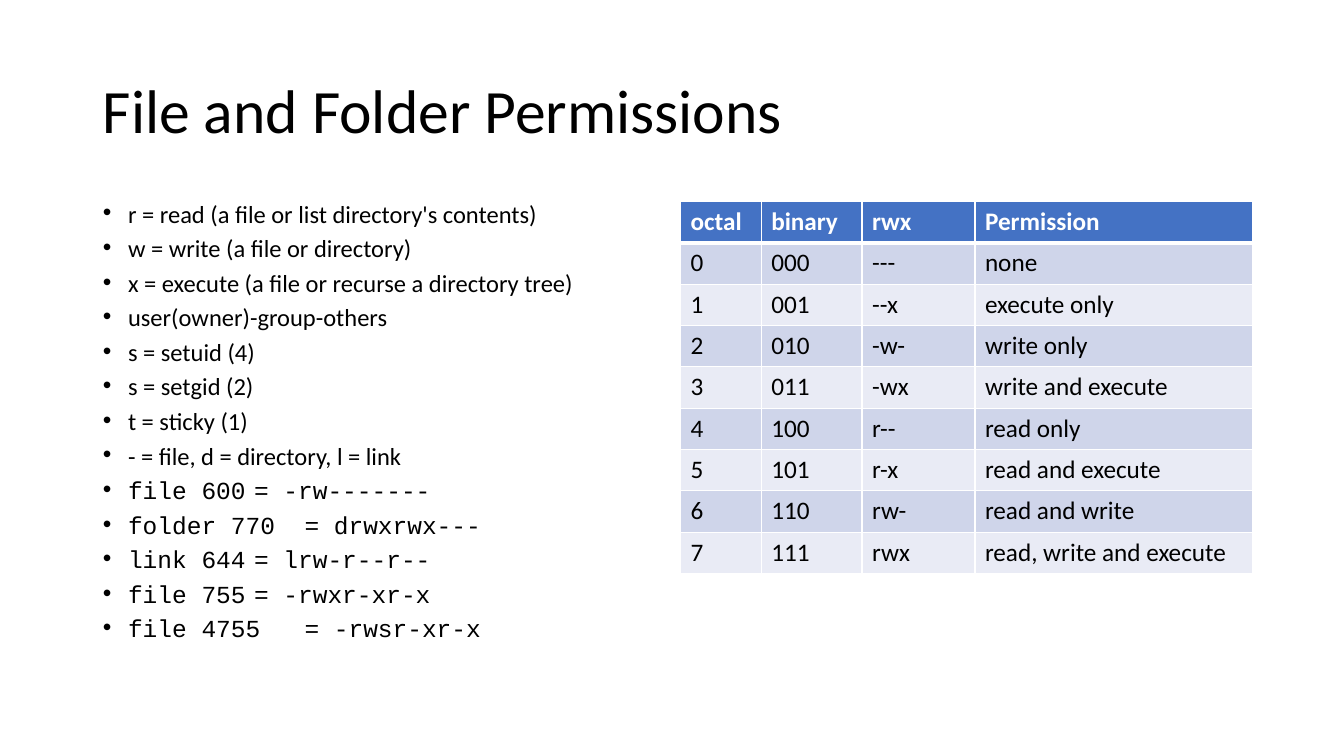
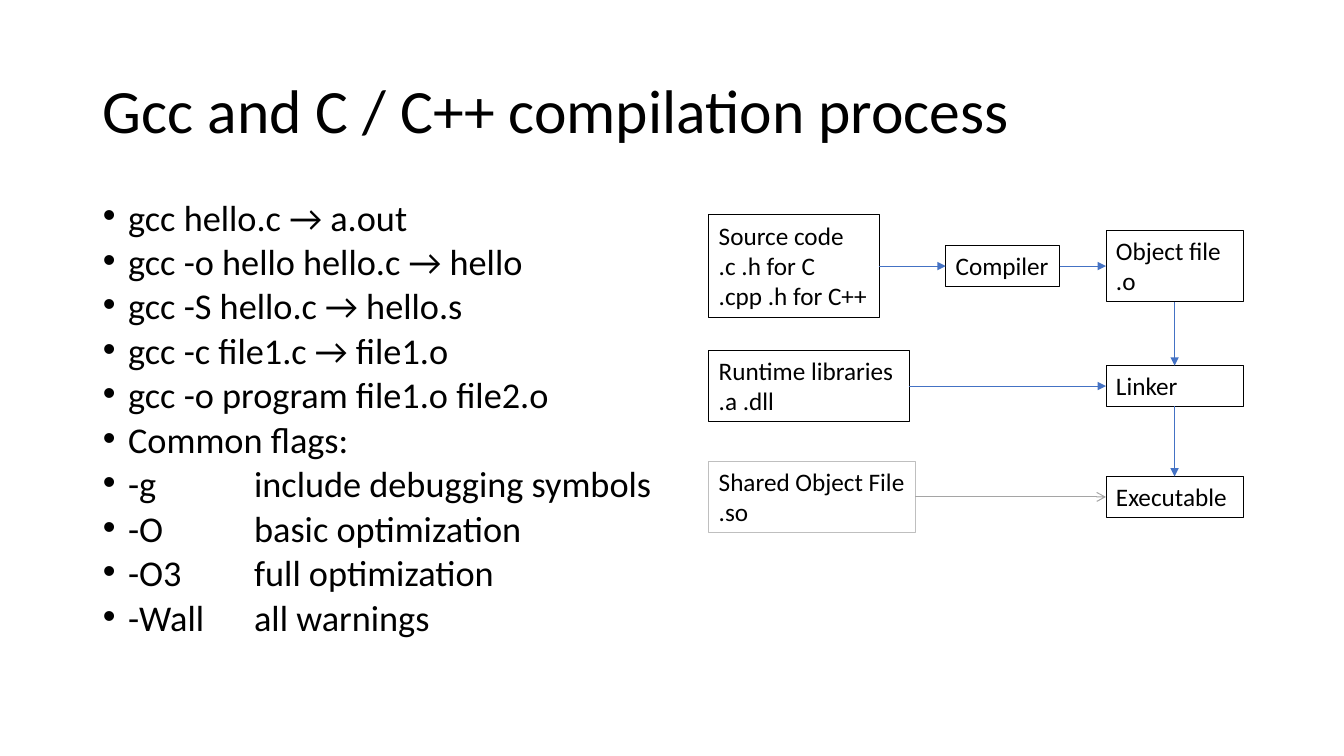
from dataclasses import dataclass

from lxml import etree
from pptx import Presentation
from pptx import util as u
from pptx.dml.color import RGBColor
from pptx.enum import shapes, text
from pptx.oxml import ns

# Shared look
SLIDE_WIDTH, SLIDE_HEIGHT = 13.33, 7.5
MARGIN, CONTENT_TOP, COLUMN_WIDTH = 0.92, 2, 5.67
FONT, CODE_FONT = "Calibri", "Courier New"
BLACK, WHITE, BLUE = "000000", "FFFFFF", "4472C4"
BAND_DARK, BAND_LIGHT = "CFD5EA", "E9EBF5"
BOX_GRAY, ARROW_GRAY = "BFBFBF", "A5A5A5"
LABEL_SIZE = 18
LINE_HEIGHT, INSET = LABEL_SIZE * 1.22 / 72, 0.05
TOP, LEFT, BOTTOM, RIGHT = range(4)

# Slide 1 content
PERMISSION_NOTES = [
    "r = read (a file or list directory's contents)",
    "w = write (a file or directory)",
    "x = execute (a file or recurse a directory tree)",
    "user(owner)-group-others",
    "s = setuid (4)",
    "s = setgid (2)",
    "t = sticky (1)",
    "- = file, d = directory, l = link",
]
PERMISSION_EXAMPLES = [
    "file 600\t= -rw-------",
    "folder 770\t= drwxrwx---",
    "link 644\t= lrw-r--r--",
    "file 755\t= -rwxr-xr-x",
    "file 4755\t= -rwsr-xr-x",
]
PERMISSION_TABLE = [
    ("octal", "binary", "rwx", "Permission"),
    ("0", "000", "---", "none"),
    ("1", "001", "--x", "execute only"),
    ("2", "010", "-w-", "write only"),
    ("3", "011", "-wx", "write and execute"),
    ("4", "100", "r--", "read only"),
    ("5", "101", "r-x", "read and execute"),
    ("6", "110", "rw-", "read and write"),
    ("7", "111", "rwx", "read, write and execute"),
]
TABLE_COLUMNS = (0.8, 1, 1.12, 2.75)
TABLE_LEFT, TABLE_ROW = 6.75, 0.41

# Slide 2 content
GCC_NOTES = [
    "gcc hello.c → a.out",
    "gcc -o hello hello.c → hello",
    "gcc -S hello.c → hello.s",
    "gcc -c file1.c → file1.o",
    "gcc -o program file1.o file2.o",
    "Common flags:",
    "-g \t\tinclude debugging symbols",
    "-O \t\tbasic optimization",
    "-O3 \t\tfull optimization",
    "-Wall\tall warnings",
]
FLOW_COLUMNS = (7.03, 9.38, 10.97)  # left edges
FLOW_ROWS = (2.64, 3.83, 4.93)  # middles


@dataclass
class Box:
    label: str
    column: int
    row: int
    width: float
    lines: int = 1
    color: str = BLACK
    wrap: bool = True


@dataclass
class Arrow:
    start: str
    start_side: int
    end: str
    end_side: int
    color: str = BLUE
    width: float = 0.5
    head: str = "triangle"


BOXES = {
    "source": Box("Source code\n.c .h for C\n.cpp .h for C++", 0, 0, 1.69, 3, wrap=False),
    "compiler": Box("Compiler", 1, 0, 1.13, wrap=False),
    "object": Box("Object file\n.o", 2, 0, 1.36, 2),
    "runtime": Box("Runtime libraries\n.a .dll", 0, 1, 1.99, 2),
    "linker": Box("Linker", 2, 1, 1.36),
    "shared": Box("Shared Object File .so", 0, 2, 2.05, 2, BOX_GRAY),
    "executable": Box("Executable", 2, 2, 1.36),
}
ARROWS = [
    Arrow("source", RIGHT, "compiler", LEFT),
    Arrow("compiler", RIGHT, "object", LEFT),
    Arrow("object", BOTTOM, "linker", TOP),
    Arrow("runtime", RIGHT, "linker", LEFT),
    Arrow("linker", BOTTOM, "executable", TOP),
    Arrow("shared", RIGHT, "executable", LEFT, ARROW_GRAY, 0.75, "arrow"),
]


def rgb(color: str) -> RGBColor:
    return RGBColor.from_string(color)


def add_xml(parent, tag: str, **attributes: str):
    return etree.SubElement(parent, ns.qn(tag), attributes)


def place(shape, left: float, top: float, width: float, height: float) -> None:
    shape.left, shape.top = u.Inches(left), u.Inches(top)
    shape.width, shape.height = u.Inches(width), u.Inches(height)


def format_runs(paragraph, size: float, color: str = BLACK, font: str = FONT,
                bold: bool = False) -> None:
    paragraph.alignment = text.PP_ALIGN.LEFT
    for run in paragraph.runs:
        run.font.name, run.font.size, run.font.bold = font, u.Pt(size), bold
        run.font.color.rgb = rgb(color)


# Title and list, the same on both slides
def add_slide(presentation, title: str, notes: list[str], size: float,
              code_lines: tuple[str, ...] = ()):
    slide = presentation.slides.add_slide(presentation.slide_layouts[1])
    heading, body = slide.placeholders
    place(heading, MARGIN, 0.4, 11.5, 1.45)
    heading.text_frame.text = title
    heading.text_frame.vertical_anchor = text.MSO_ANCHOR.MIDDLE
    heading.text_frame.auto_size = text.MSO_AUTO_SIZE.NONE
    heading.text_frame.paragraphs[0].line_spacing = 0.9
    format_runs(heading.text_frame.paragraphs[0], 44)

    place(body, MARGIN, CONTENT_TOP, COLUMN_WIDTH, 4.76)
    body.text_frame.text = "\n".join([*notes, *code_lines])
    body.text_frame.auto_size = text.MSO_AUTO_SIZE.NONE
    for index, paragraph in enumerate(body.text_frame.paragraphs):
        properties = paragraph._p.get_or_add_pPr()
        properties.set("marL", str(u.Inches(0.25)))
        properties.set("indent", str(-u.Inches(0.25)))
        add_xml(properties, "a:buFont", typeface="Arial")
        add_xml(properties, "a:buChar", char="•")
        paragraph.line_spacing = 0.7
        paragraph.space_before = u.Pt(10 if index else 0)
        format_runs(paragraph, size, font=FONT if index < len(notes) else CODE_FONT)
    return slide


# Permission table
def set_borders(cell, top: float, bottom: float) -> None:
    properties = cell._tc.get_or_add_tcPr()
    for side, width in (("L", 1), ("R", 1), ("T", top), ("B", bottom)):
        line = add_xml(properties, f"a:ln{side}", w=str(u.Pt(width)))
        add_xml(add_xml(line, "a:solidFill"), "a:srgbClr", val=WHITE)


def add_permission_table(slide) -> None:
    row_count = len(PERMISSION_TABLE)
    table = slide.shapes.add_table(
        row_count, len(TABLE_COLUMNS), u.Inches(TABLE_LEFT), u.Inches(CONTENT_TOP),
        u.Inches(sum(TABLE_COLUMNS)), u.Inches(TABLE_ROW * row_count)).table
    table.horz_banding = False
    for column, width in zip(table.columns, TABLE_COLUMNS):
        column.width = u.Inches(width)
    for row, values in enumerate(PERMISSION_TABLE):
        is_header = row == 0
        fill = BLUE if is_header else BAND_DARK if row % 2 else BAND_LIGHT
        for column, value in enumerate(values):
            cell = table.cell(row, column)
            cell.text_frame.text = value
            format_runs(cell.text_frame.paragraphs[0], LABEL_SIZE,
                        WHITE if is_header else BLACK, bold=is_header)
            set_borders(cell, top=3 if row == 1 else 1, bottom=3 if is_header else 1)
            cell.fill.solid()
            cell.fill.fore_color.rgb = rgb(fill)


# Compilation flow
def add_box(slide, box: Box):
    height = 2 * INSET + box.lines * LINE_HEIGHT
    shape = slide.shapes.add_shape(
        shapes.MSO_SHAPE.RECTANGLE, u.Inches(FLOW_COLUMNS[box.column]),
        u.Inches(FLOW_ROWS[box.row] - height / 2), u.Inches(box.width), u.Inches(height))
    shape.shadow.inherit = False
    shape.fill.background()
    shape.line.color.rgb = rgb(box.color)
    shape.line.width = u.Pt(0.75)
    frame = shape.text_frame
    frame.text = box.label
    frame.word_wrap = box.wrap
    frame.auto_size = text.MSO_AUTO_SIZE.SHAPE_TO_FIT_TEXT
    frame.vertical_anchor = text.MSO_ANCHOR.TOP
    for paragraph in frame.paragraphs:
        format_runs(paragraph, LABEL_SIZE)
    return shape


def add_arrow(slide, arrow: Arrow, boxes: dict) -> None:
    connector = slide.shapes.add_connector(shapes.MSO_CONNECTOR.STRAIGHT, 0, 0, 0, 0)
    connector.begin_connect(boxes[arrow.start], arrow.start_side)
    connector.end_connect(boxes[arrow.end], arrow.end_side)
    connector.line.color.rgb = rgb(arrow.color)
    connector.line.width = u.Pt(arrow.width)
    add_xml(connector.line._get_or_add_ln(), "a:tailEnd", type=arrow.head)
    add_xml(connector._element.spPr, "a:effectLst")


def main() -> None:
    presentation = Presentation()
    presentation.slide_width = u.Inches(SLIDE_WIDTH)
    presentation.slide_height = u.Inches(SLIDE_HEIGHT)

    slide = add_slide(presentation, "File and Folder Permissions",
                      PERMISSION_NOTES, 17.5, tuple(PERMISSION_EXAMPLES))
    add_permission_table(slide)

    slide = add_slide(presentation, "Gcc and C / C++ compilation process", GCC_NOTES, 25.9)
    boxes = {name: add_box(slide, box) for name, box in BOXES.items()}
    for arrow in ARROWS:
        add_arrow(slide, arrow, boxes)

    presentation.save("out.pptx")


if __name__ == "__main__":
    main()
